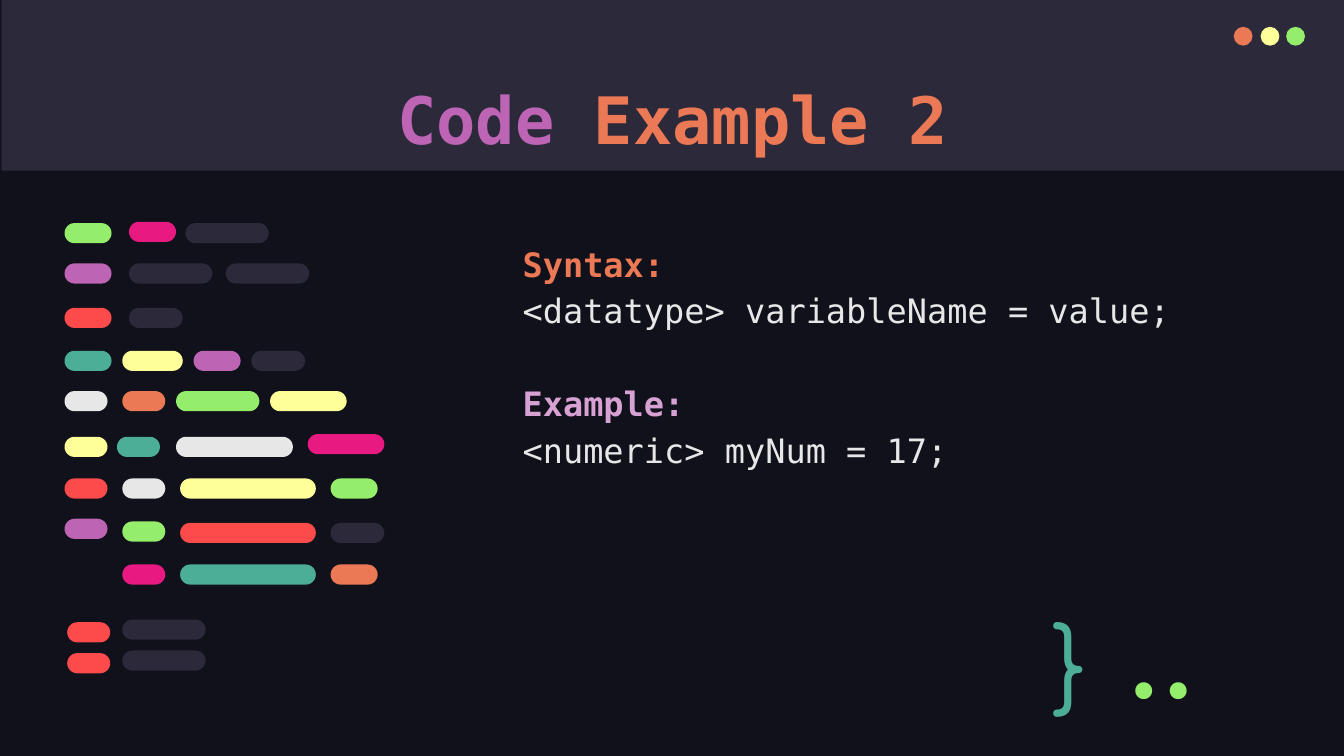
import pptx
import pptx.dml.color
import pptx.enum.shapes
import pptx.enum.text
import pptx.util
from pptx.dml.color import RGBColor
from pptx.enum.shapes import MSO_SHAPE
from pptx.enum.text import MSO_ANCHOR, PP_ALIGN
from pptx.util import Inches

BACKGROUND = RGBColor(0x10, 0x11, 0x1A)
SLATE = RGBColor(0x2C, 0x29, 0x3A)
ORANGE = RGBColor(0xEC, 0x79, 0x55)
YELLOW = RGBColor(0xFF, 0xFF, 0x99)
GREEN = RGBColor(0x94, 0xEE, 0x6B)
PURPLE = RGBColor(0xBD, 0x64, 0xB5)
LILAC = RGBColor(0xD7, 0xA2, 0xD3)
PINK = RGBColor(0xE8, 0x1A, 0x81)
RED = RGBColor(0xFD, 0x4A, 0x4A)
TEAL = RGBColor(0x4C, 0xAE, 0x97)
WHITE = RGBColor(0xE7, 0xE7, 0xE7)
CODE_FONT = "DejaVu Sans Mono"

presentation = pptx.Presentation()
presentation.slide_width = Inches(10)
presentation.slide_height = Inches(10) * 9 // 16
slide = presentation.slides.add_slide(presentation.slide_layouts[5])
slide.background.fill.solid()
slide.background.fill.fore_color.rgb = BACKGROUND


def add_filled_shape(kind, left, top, width, height, color):
    shape = slide.shapes.add_shape(
        kind, Inches(left), Inches(top), Inches(width), Inches(height)
    )
    shape.shadow.inherit = False
    shape.fill.solid()
    shape.fill.fore_color.rgb = color
    shape.line.fill.background()
    return shape


def write_text(shape, paragraphs, size, font=CODE_FONT, align=PP_ALIGN.LEFT,
               anchor=MSO_ANCHOR.TOP, line_spacing=1.0):
    frame = shape.text_frame
    frame.word_wrap = True
    frame.auto_size = pptx.enum.text.MSO_AUTO_SIZE.NONE
    frame.vertical_anchor = anchor
    frame.margin_left = frame.margin_right = Inches(0.1)
    frame.margin_top = frame.margin_bottom = Inches(0.1)
    for index, runs in enumerate(paragraphs):
        paragraph = frame.add_paragraph() if index else frame.paragraphs[0]
        paragraph.alignment = align
        paragraph.line_spacing = line_spacing
        for text, color, bold in runs:
            run = paragraph.add_run()
            run.text = text
            run.font.name = font
            run.font.size = pptx.util.Pt(size)
            run.font.bold = bold
            run.font.color.rgb = color
    return frame


add_filled_shape(MSO_SHAPE.RECTANGLE, 0.01, 0, 10, 1.27, SLATE)
for left, color in [(9.18, ORANGE), (9.38, YELLOW), (9.57, GREEN)]:
    add_filled_shape(MSO_SHAPE.OVAL, left, 0.2, 0.14, 0.14, color)

title = slide.shapes.title
title.left, title.top = Inches(0.79), Inches(0.49)
title.width, title.height = Inches(8.43), Inches(0.63)
slide.shapes._spTree.append(title._element)
write_text(title, [[("Code ", PURPLE, True), ("Example 2", ORANGE, True)]],
           size=35, align=PP_ALIGN.CENTER)

code_box = slide.shapes.add_textbox(
    Inches(3.79), Inches(1.67), Inches(5.43), Inches(3.36)
)
code_lines = [
    [("Syntax:", ORANGE, True)],
    [("<datatype> variableName = value;", WHITE, False)],
    [("Example:", LILAC, True)],
    [("<numeric> myNum = 17;", WHITE, False)],
]
code_frame = write_text(code_box, code_lines, size=18, line_spacing=1.15)
code_frame.paragraphs[2].space_before = pptx.util.Pt(25)

pills = [
    (0.48, 1.66, 0.35, GREEN), (0.96, 1.65, 0.35, PINK), (1.38, 1.66, 0.62, SLATE),
    (0.48, 1.96, 0.35, PURPLE), (0.96, 1.96, 0.62, SLATE), (1.68, 1.96, 0.62, SLATE),
    (0.48, 2.29, 0.35, RED), (0.96, 2.29, 0.4, SLATE),
    (0.48, 2.61, 0.35, TEAL), (0.91, 2.61, 0.45, YELLOW),
    (1.44, 2.61, 0.35, PURPLE), (1.87, 2.61, 0.4, SLATE),
    (0.48, 2.91, 0.32, WHITE), (0.91, 2.91, 0.32, ORANGE),
    (1.31, 2.91, 0.62, GREEN), (2.01, 2.91, 0.57, YELLOW),
    (0.48, 3.25, 0.32, YELLOW), (0.87, 3.25, 0.32, TEAL),
    (1.31, 3.25, 0.87, WHITE), (2.29, 3.23, 0.57, PINK),
    (0.48, 3.56, 0.32, RED), (0.91, 3.56, 0.32, WHITE),
    (1.34, 3.56, 1.01, YELLOW), (2.46, 3.56, 0.35, GREEN),
    (0.48, 3.86, 0.32, PURPLE), (0.91, 3.88, 0.32, GREEN),
    (1.34, 3.89, 1.01, RED), (2.46, 3.89, 0.4, SLATE),
    (0.91, 4.2, 0.32, PINK), (1.34, 4.2, 1.01, TEAL), (2.46, 4.2, 0.35, ORANGE),
    (0.5, 4.63, 0.32, RED), (0.91, 4.61, 0.62, SLATE),
    (0.5, 4.86, 0.32, RED), (0.91, 4.84, 0.62, SLATE),
]
for left, top, width, color in pills:
    pill = add_filled_shape(MSO_SHAPE.ROUNDED_RECTANGLE, left, top, width, 0.15, color)
    pill.adjustments[0] = 0.5

brace_box = slide.shapes.add_textbox(
    Inches(7.73), Inches(4.38), Inches(0.57), Inches(0.83)
)
write_text(brace_box, [[("}", TEAL, False)]], size=50, font="Comfortaa")

dots_box = slide.shapes.add_textbox(
    Inches(8.1), Inches(4.62), Inches(1.07), Inches(0.6)
)
write_text(dots_box, [[("..", GREEN, False)]], size=50, font="Fira Code",
           align=PP_ALIGN.RIGHT, anchor=MSO_ANCHOR.MIDDLE)

presentation.save("out.pptx")
